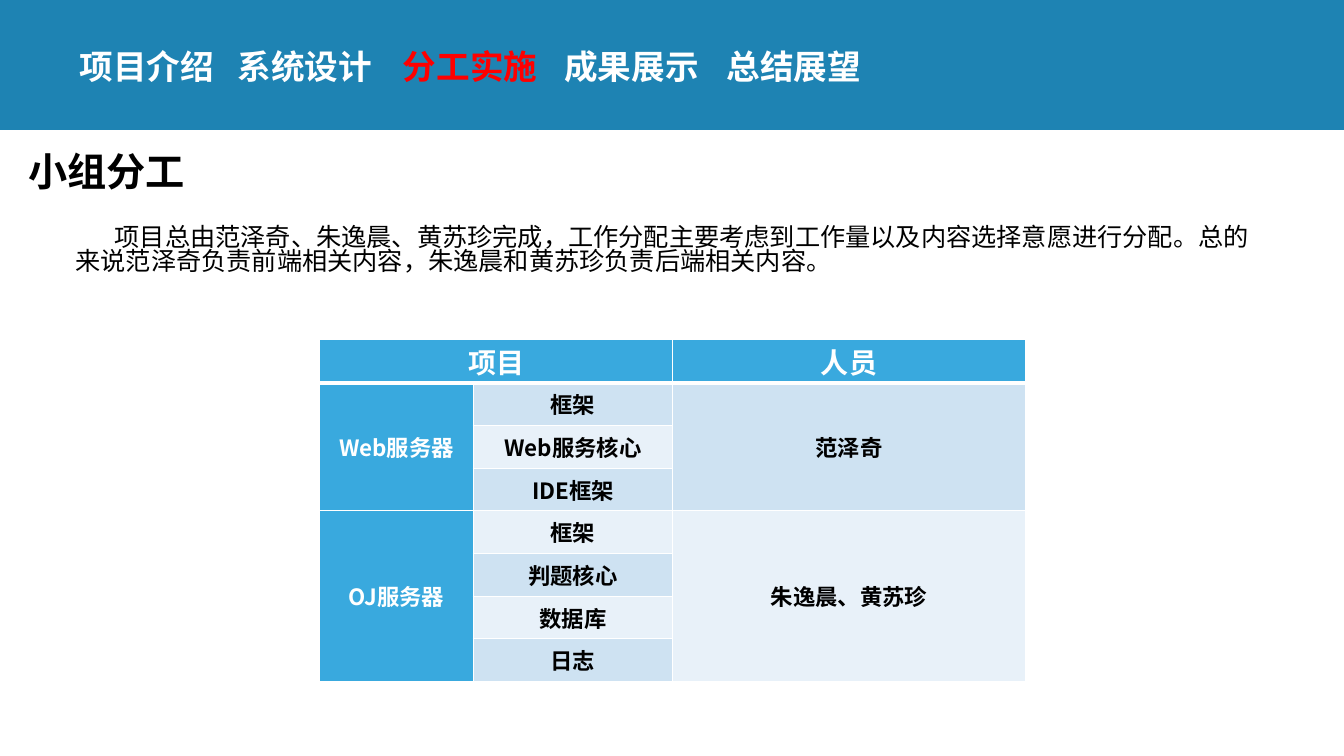
"""Build the team assignment slide with its section bar and task table."""
from lxml import etree
from pptx import Presentation
from pptx.dml.color import RGBColor
from pptx.enum import shapes, text
from pptx.oxml import ns
from pptx.util import Pt

FONT = "Noto Sans CJK SC"
WHITE = RGBColor(0xFF, 0xFF, 0xFF)
BLACK = RGBColor(0, 0, 0)
RED = RGBColor(0xFF, 0, 0)
BAR_BLUE = RGBColor(0x1E, 0x83, 0xB3)
HEAD_BLUE = RGBColor(0x39, 0xA9, 0xDE)
BANDS = [RGBColor(0xCE, 0xE2, 0xF2), RGBColor(0xE8, 0xF1, 0xF9)]

SECTIONS = [("项目介绍", 46.8), ("系统设计", 162.7), ("分工实施", 280.8),
            ("成果展示", 396), ("总结展望", 511.9)]
CURRENT = "分工实施"
HEADING = "小组分工"
SUMMARY = ("项目总由范泽奇、朱逸晨、黄苏珍完成，工作分配主要考虑到工作量以及内容选择意愿进行分配。"
           "总的来说范泽奇负责前端相关内容，朱逸晨和黄苏珍负责后端相关内容。")
TABLE_HEADS = ["项目", "人员"]
TEAMS = [
    ("Web服务器", ["框架", "Web服务核心", "IDE框架"], "范泽奇"),
    ("OJ服务器", ["框架", "判题核心", "数据库", "日志"], "朱逸晨、黄苏珍"),
]
COLUMN_WIDTHS = [109.5, 142.5, 252]
HEAD_HEIGHT, TASK_HEIGHT = 31, 30.5


def write(frame, words, size, color, bold=True, align=text.PP_ALIGN.LEFT,
          spacing=1.0, indent=0):
    paragraph = frame.paragraphs[0]
    paragraph.alignment = align
    paragraph.line_spacing = spacing
    if indent:
        paragraph._p.get_or_add_pPr().set("indent", str(Pt(indent)))
    run = paragraph.add_run()
    run.text = words
    run.font.size = Pt(size)
    run.font.bold = bold
    run.font.color.rgb = color
    run.font.name = FONT
    etree.SubElement(run._r.rPr, ns.qn("a:ea"), typeface=FONT)


def add_box(left, top, width, height, anchor=text.MSO_ANCHOR.TOP, wrap=True):
    frame = slide.shapes.add_textbox(Pt(left), Pt(top), Pt(width), Pt(height)).text_frame
    frame.word_wrap = wrap
    frame.vertical_anchor = anchor
    return frame


def draw_borders(cell, top=1, bottom=1):
    properties = cell._tc.get_or_add_tcPr()
    for side, weight in (("L", 1), ("R", 1), ("T", top), ("B", bottom)):
        line = etree.SubElement(properties, ns.qn(f"a:ln{side}"), w=str(Pt(weight)))
        fill = etree.SubElement(line, ns.qn("a:solidFill"))
        etree.SubElement(fill, ns.qn("a:srgbClr"), val=str(WHITE))


def fill_cell(row, column, words, fill, size=16, color=BLACK, rows=1, columns=1):
    cell = table.cell(row, column)
    if rows > 1 or columns > 1:
        cell.merge(table.cell(row + rows - 1, column + columns - 1))
    cell.fill.solid()
    cell.fill.fore_color.rgb = fill
    cell.vertical_anchor = text.MSO_ANCHOR.MIDDLE
    cell.margin_top = cell.margin_bottom = 0
    write(cell.text_frame, words, size, color, align=text.PP_ALIGN.CENTER)


deck = Presentation()
deck.slide_width, deck.slide_height = Pt(960), Pt(540)
slide = deck.slides.add_slide(deck.slide_layouts[6])
slide.background.fill.solid()
slide.background.fill.fore_color.rgb = BAR_BLUE

page = slide.shapes.add_shape(shapes.MSO_SHAPE.RECTANGLE, 0, Pt(93), Pt(960), Pt(447))
page.shadow.inherit = False
page.fill.solid()
page.fill.fore_color.rgb = WHITE
page.line.fill.background()

for section, left in SECTIONS:
    write(add_box(left, 20.2, 116, 56.9, anchor=text.MSO_ANCHOR.MIDDLE), section, 24,
          RED if section == CURRENT else WHITE, spacing=0.9,
          align=text.PP_ALIGN.CENTER if left == SECTIONS[0][1] else text.PP_ALIGN.LEFT)

write(add_box(13, 105.8, 127.4, 41, wrap=False), HEADING, 28, BLACK, spacing=0.9)
write(add_box(46.8, 158, 865.4, 51.1), SUMMARY, 18, BLACK, bold=False,
      spacing=0.82, indent=28)

task_count = sum(len(tasks) for _, tasks, _ in TEAMS)
table_height = HEAD_HEIGHT + task_count * TASK_HEIGHT
holder = slide.shapes.add_table(task_count + 1, len(COLUMN_WIDTHS), Pt(228.5), Pt(242.5),
                                Pt(sum(COLUMN_WIDTHS)), Pt(table_height))
table = holder.table
table.first_row = table.horz_banding = False
for column, width in zip(table.columns, COLUMN_WIDTHS):
    column.width = Pt(width)
for index, row in enumerate(table.rows):
    row.height = Pt(TASK_HEIGHT if index else HEAD_HEIGHT)
    for cell in row.cells:
        draw_borders(cell, top=3 if index == 1 else 1, bottom=1 if index else 3)

fill_cell(0, 0, TABLE_HEADS[0], HEAD_BLUE, size=20, color=WHITE, columns=2)
fill_cell(0, 2, TABLE_HEADS[1], HEAD_BLUE, size=20, color=WHITE)
first = 1
for server, tasks, people in TEAMS:
    fill_cell(first, 0, server, HEAD_BLUE, color=WHITE, rows=len(tasks))
    fill_cell(first, 2, people, BANDS[(first - 1) % 2], rows=len(tasks))
    for index, task in enumerate(tasks, first):
        fill_cell(index, 1, task, BANDS[(index - 1) % 2])
    first += len(tasks)

deck.save("out.pptx")
